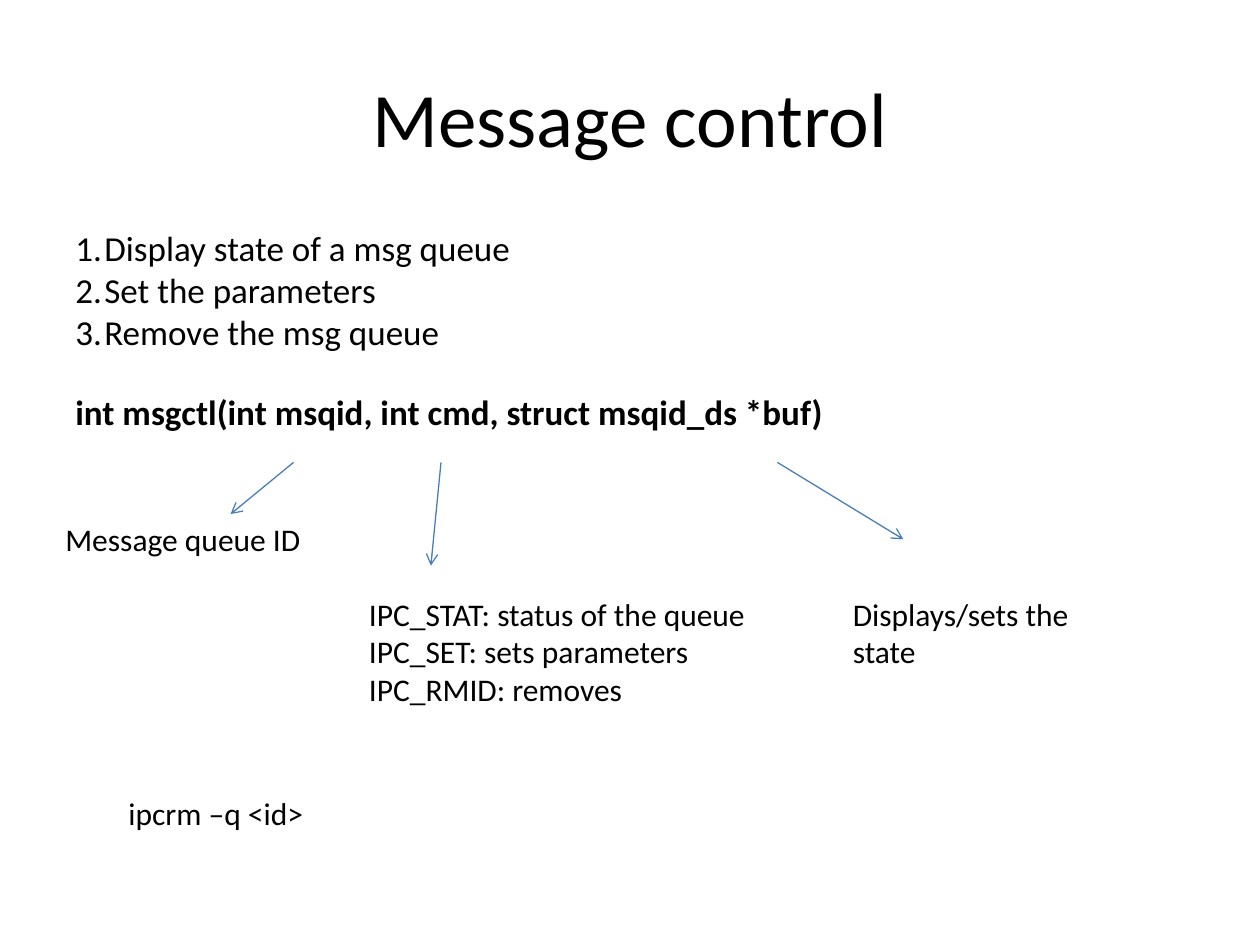
from dataclasses import dataclass
from pptx import Presentation
from pptx.dml.color import RGBColor as Rgb
from pptx.enum.shapes import MSO_CONNECTOR as Link
from pptx.enum.text import MSO_ANCHOR as Anchor, PP_ALIGN as Align
from pptx.oxml.ns import qn
from pptx.util import Inches, Pt
from lxml.etree import SubElement


@dataclass(frozen=True)
class Theme:
    font: str = "Calibri"
    ink: Rgb = Rgb(0, 0, 0)
    line: Rgb = Rgb(0x4A, 0x7E, 0xBB)
    title: int = 44
    body: int = 20
    note: int = 18
    stroke: float = 0.75


@dataclass(frozen=True)
class Block:
    left: float
    top: float
    width: float
    height: float
    lines: tuple[str, ...]


@dataclass(frozen=True)
class Arrow:
    x1: float
    y1: float
    x2: float
    y2: float


THEME = Theme()
TITLE = Block(0.5, 0.3, 9, 1.25, ("Message control",))
BODY = Block(0.5, 1.75, 9, 4.95, (
    "Display state of a msg queue",
    "Set the parameters",
    "Remove the msg queue",
    "int msgctl(int msqid, int cmd, struct msqid_ds *buf)",
))
NOTES = (
    Block(0.42, 4.08, 2.42, 0.7, ("Message queue ID",)),
    Block(2.83, 4.67, 3.33, 1.6, (
        "IPC_STAT: status of the queue",
        "IPC_SET: sets parameters",
        "IPC_RMID: removes",
    )),
    Block(6.67, 4.67, 2.08, 0.7, ("Displays/sets the state",)),
    Block(0.92, 6.25, 3.42, 0.4, ("ipcrm –q <id>",)),
)
ARROWS = (
    Arrow(2.33, 3.67, 1.83, 4.08),
    Arrow(3.5, 3.67, 3.42, 4.49),
    Arrow(6.17, 3.67, 7.17, 4.28),
)


def add_text(slide, block: Block, size: int):
    """Add a wrapped text box with one paragraph a line."""
    box = slide.shapes.add_textbox(Inches(block.left), Inches(block.top),
                                   Inches(block.width), Inches(block.height))
    frame = box.text_frame
    frame.word_wrap = True
    frame.text = "\n".join(block.lines)
    for para in frame.paragraphs:
        para.font.name = THEME.font
        para.font.size = Pt(size)
        para.font.color.rgb = THEME.ink
    return frame


def number(para, indent: float = 0.23) -> None:
    """Turn a paragraph into a numbered item with a hanging indent."""
    props = para._p.get_or_add_pPr()
    props.set("marL", str(Inches(indent)))
    props.set("indent", str(-Inches(indent)))
    mark = props.makeelement(qn("a:buAutoNum"), {"type": "arabicPeriod"})
    props.insert_element_before(mark, "a:tabLst", "a:defRPr", "a:extLst")


def add_arrow(slide, arrow: Arrow) -> None:
    """Add a thin line with an open arrowhead at its end."""
    link = slide.shapes.add_connector(
        Link.STRAIGHT, Inches(arrow.x1), Inches(arrow.y1),
        Inches(arrow.x2), Inches(arrow.y2))
    link.line.color.rgb = THEME.line
    link.line.width = Pt(THEME.stroke)
    SubElement(link.line._get_or_add_ln(), qn("a:tailEnd"), type="arrow")
    SubElement(link._element.spPr, qn("a:effectLst"))


def main() -> None:
    deck = Presentation()
    deck.slide_width, deck.slide_height = Inches(10), Inches(7.5)
    slide = deck.slides.add_slide(deck.slide_layouts[6])

    # Title
    head = add_text(slide, TITLE, THEME.title)
    head.vertical_anchor = Anchor.MIDDLE
    head.paragraphs[0].alignment = Align.CENTER

    # Numbered uses, then the call itself
    *items, call = add_text(slide, BODY, THEME.body).paragraphs
    for item in items:
        number(item)
    call.font.bold = True
    call.space_before = Pt(21.6)

    # Arrows from the arguments to their notes
    for arrow in ARROWS:
        add_arrow(slide, arrow)
    for note in NOTES:
        add_text(slide, note, THEME.note)

    deck.save("out.pptx")


if __name__ == "__main__":
    main()
